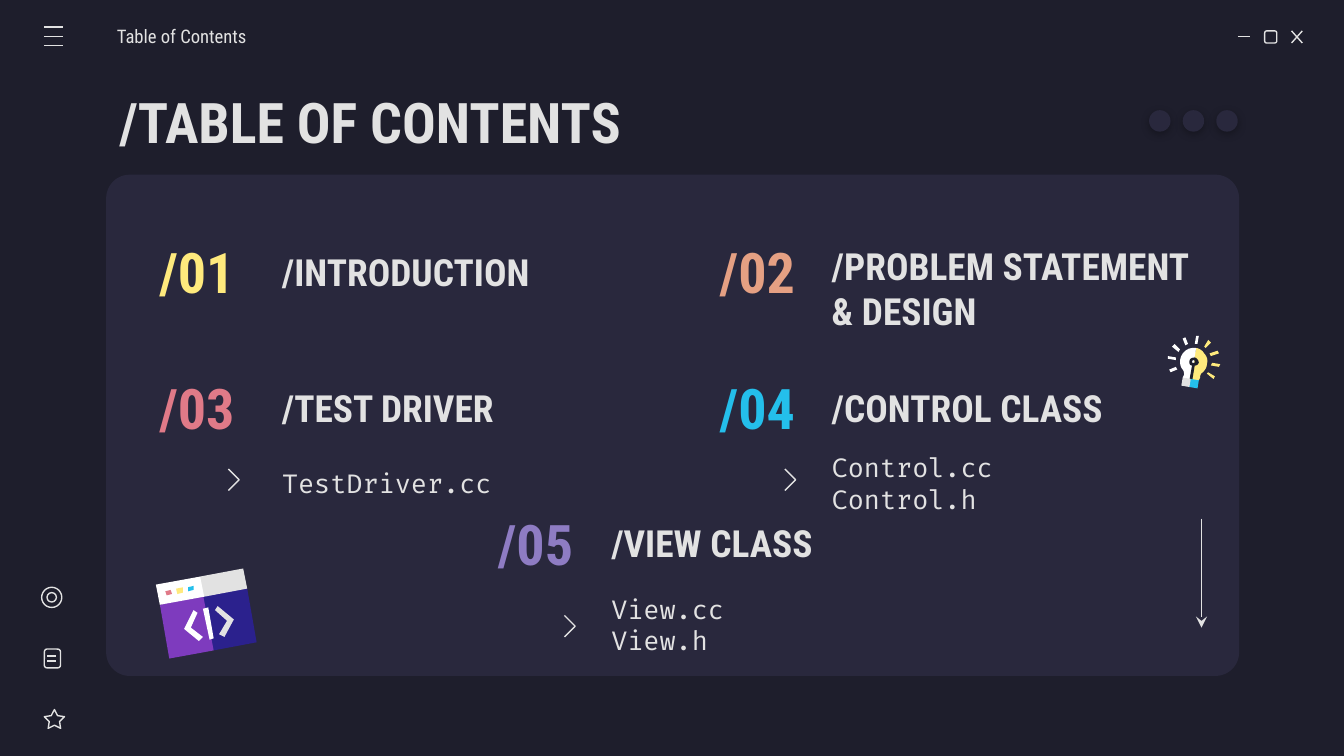
from dataclasses import dataclass
from typing import NamedTuple

from lxml import etree
from pptx import Presentation, util as u
from pptx.dml.color import RGBColor
from pptx.enum import shapes as s, text as t
from pptx.oxml.ns import qn

SCALE = 9144  # EMU in one px: 100 px to the inch
WIDE = 1000


@dataclass(frozen=True)
class Theme:
    back: str = "1E1E2C"
    panel: str = "29283D"
    light: str = "E2E2E2"
    white: str = "FFFFFF"
    yellow: str = "FFEA7D"
    orange: str = "E5A083"
    pink: str = "E07A88"
    blue: str = "24BFEB"
    violet: str = "8E7CC3"
    purple: str = "7E3BBE"
    navy: str = "2B218D"
    sans: str = "Roboto Condensed"
    mono: str = "Fira Code"
    big: int = 30
    mid: int = 20
    code: int = 14
    small: int = 10
    thin: float = 0.75


T = Theme()
KIND = s.MSO_SHAPE


class Box(NamedTuple):
    left: int
    top: int
    wide: int
    tall: int


class Part(NamedTuple):
    num: str
    name: str
    color: str
    num_x: int
    name_x: int
    top: int
    size: tuple = (256, 56)


class Files(NamedTuple):
    text: str
    box: Box
    mark: tuple


class Patch(NamedTuple):
    color: str
    points: tuple
    hole: tuple = ()


def px(n: float) -> int:
    return round(n * SCALE)


def rgb(color: str) -> RGBColor:
    return RGBColor.from_string(color)


def paint(shape, fill: str | None, line: str | None) -> None:
    if fill:
        shape.fill.solid()
        shape.fill.fore_color.rgb = rgb(fill)
    else:
        shape.fill.background()
    if line:
        shape.line.color.rgb = rgb(line)
        shape.line.width = u.Pt(T.thin)
    else:
        shape.line.fill.background()
    shape.shadow.inherit = False


def form(into, kind, box: Box, fill=None, line=None, adj: float | None = None):
    shape = into.add_shape(kind, *map(px, box))
    if adj is not None:
        shape.adjustments[0] = adj
    paint(shape, fill, line)
    return shape


def rule(into, x1: int, y1: int, x2: int, y2: int, head: bool = False) -> None:
    line = into.add_connector(s.MSO_CONNECTOR.STRAIGHT, *map(px, (x1, y1, x2, y2)))
    line.line.color.rgb = rgb(T.light)
    line.line.width = u.Pt(T.thin)
    props = line.element.spPr
    if head:
        etree.SubElement(props.find(qn("a:ln")), qn("a:tailEnd"), type="stealth")
    etree.SubElement(props, qn("a:effectLst"))


def trace(points: tuple, steps: int = 6) -> list:
    """Pairs are corners; six numbers are a Bezier curve from the last point."""
    out = []
    for p in points:
        if len(p) == 2:
            out.append(p)
            continue
        ends = [out[-1], p[:2], p[2:4], p[4:]]
        for i in range(1, steps + 1):
            k = i / steps
            share = ((1 - k) ** 3, 3 * k * (1 - k) ** 2, 3 * k * k * (1 - k), k ** 3)
            out.append(tuple(sum(w * e[a] for w, e in zip(share, ends)) for a in (0, 1)))
    return [(px(x), px(y)) for x, y in out]


def draw(into, points: tuple, fill=None, line=None, hole: tuple = ()) -> None:
    first, *rest = trace(points)
    pen = into.build_freeform(*first)
    pen.add_line_segments(rest, close=bool(fill))
    if hole:
        first, *rest = trace(hole)
        pen.move_to(*first)
        pen.add_line_segments(rest, close=True)
    paint(pen.convert_to_shape(), fill, line)


def write(into, words: str, box: Box, size: int, color: str = T.light, font: str = T.sans,
          bold: bool = False, align=t.PP_ALIGN.LEFT, inset: int = 10) -> None:
    frame = into.add_textbox(*map(px, box)).text_frame
    frame.text = words
    edge = px(10)
    for key, val in dict(word_wrap=True, vertical_anchor=t.MSO_ANCHOR.MIDDLE,
                         margin_left=px(inset), margin_right=edge,
                         margin_top=edge, margin_bottom=edge).items():
        setattr(frame, key, val)
    for para in frame.paragraphs:
        para.alignment = align
        font_of = para.runs[0].font
        for key, val in dict(name=font, size=u.Pt(size), bold=bold).items():
            setattr(font_of, key, val)
        font_of.color.rgb = rgb(color)


def shade(shape) -> None:
    glow = etree.SubElement(shape.element.spPr.find(qn("a:effectLst")), qn("a:outerShdw"),
                            blurRad=str(u.Pt(4.5)), dist=str(u.Pt(1.5)), dir="5400000",
                            algn="bl", rotWithShape="0")
    tint = etree.SubElement(glow, qn("a:srgbClr"), val="000000")
    etree.SubElement(tint, qn("a:alpha"), val="30000")


PARTS = [
    Part("/01", "/INTRODUCTION", T.yellow, 101, 200, 174),
    Part("/02", "/PROBLEM STATEMENT & DESIGN", T.orange, 518, 609, 174, (298, 81)),
    Part("/03", "/TEST DRIVER", T.pink, 101, 200, 275),
    Part("/04", "/CONTROL CLASS", T.blue, 518, 609, 275),
    Part("/05", "/VIEW CLASS", T.violet, 353, 445, 376),
]
FILES = [
    Files("TestDriver.cc", Box(200, 322, 208, 75), (170, 349)),
    Files("Control.cc\nControl.h", Box(609, 322, 256, 75), (584, 349)),
    Files("View.cc\nView.h", Box(445, 427, 256, 75), (420, 458)),
]
CODE = [  # tilted window with a code sign
    Patch(T.navy, ((148, 443), (159, 484), (191, 478), (184, 438))),
    Patch(T.purple, ((151, 442), (119, 450), (126, 490), (159, 484))),
    Patch(T.light, ((149, 429), (147, 437), (152, 444), (184, 438), (181, 423))),
    Patch(T.white, ((116, 435), (119, 450), (152, 444), (149, 429))),
    Patch(T.pink, ((123, 440), (124, 443), (128, 442), (127, 439))),
    Patch(T.yellow, ((131, 438), (132, 442), (136, 441), (136, 437))),
    Patch(T.blue, ((140, 437), (140, 440), (144, 439), (144, 436))),
    Patch(T.white, ((144, 454), (137, 468), (148, 477), (151, 474), (142, 467), (147, 456))),
    Patch(T.light, ((162, 451), (160, 454), (169, 462), (163, 472), (167, 474), (174, 461))),
    Patch(T.white, ((151, 453), (156, 476), (159, 475), (155, 452))),
]
BULB = [  # glass halves, rays, keyhole, base
    Patch(T.yellow, ((890, 259), (885, 283), (892, 283), (893, 281),
                     (893, 280, 893, 278, 895, 277), (897, 275, 898, 273, 898, 271),
                     (899, 268, 898, 265, 896, 263), (895, 261, 892, 259, 890, 259))),
    Patch(T.white, ((890, 259), (884, 258, 879, 262, 878, 268), (878, 270, 878, 273, 880, 275),
                    (881, 276, 881, 278, 881, 279), (880, 281), (886, 283))),
    Patch(T.white, ((890, 250), (889, 256), (891, 256), (892, 250))),
    Patch(T.white, ((882, 251), (880, 252), (882, 257), (884, 256))),
    Patch(T.white, ((874, 256), (872, 258), (877, 262), (878, 260))),
    Patch(T.white, ((869, 265), (869, 267), (875, 268), (875, 266))),
    Patch(T.white, ((875, 273), (870, 275), (871, 277), (876, 275))),
    Patch(T.yellow, ((899, 277), (898, 278), (903, 282), (904, 280))),
    Patch(T.yellow, ((902, 270), (901, 272), (907, 273), (908, 271))),
    Patch(T.yellow, ((906, 261), (900, 263), (901, 265), (907, 263))),
    Patch(T.yellow, ((899, 253), (896, 258), (897, 259), (901, 255))),
    Patch(T.back, ((889, 266), (887, 266, 885, 267, 885, 269), (885, 270, 885, 272, 887, 272),
                   (885, 283), (887, 284), (889, 272), (890, 272, 891, 272, 892, 270),
                   (892, 268, 890, 266, 889, 266)),
          ((888, 268), (889, 268, 889, 269, 889, 269), (889, 270, 889, 270, 888, 270),
           (887, 270, 887, 270, 887, 269), (887, 268, 888, 268, 888, 268))),
    Patch(T.blue, ((886, 282), (884, 285), (885, 288), (891, 289), (892, 283))),
    Patch(T.light, ((880, 281), (879, 287), (885, 288), (886, 282))),
]


def main() -> None:
    deck = Presentation()
    deck.slide_width = px(WIDE)
    deck.slide_height = px(WIDE) * 9 // 16
    slide = deck.slides.add_slide(deck.slide_layouts[6])
    slide.background.fill.solid()
    slide.background.fill.fore_color.rgb = rgb(T.back)
    page = slide.shapes

    # Panel and window buttons
    form(page, KIND.ROUNDED_RECTANGLE, Box(79, 130, 843, 373), T.panel, adj=0.047)
    bar = page.add_group_shape().shapes
    rule(bar, 921, 27, 930, 27)
    form(bar, KIND.ROUNDED_RECTANGLE, Box(941, 23, 9, 9), line=T.light)
    rule(bar, 961, 23, 969, 32)
    rule(bar, 969, 23, 961, 32)

    # Headings
    write(page, "/TABLE OF CONTENTS", Box(79, 59, 843, 63), T.big, bold=True)
    write(page, "Table of Contents", Box(87, 12, 117, 30), T.small, inset=0)

    # Contents
    for part in PARTS:
        write(page, part.name, Box(part.name_x, part.top, *part.size), T.mid, bold=True)
        write(page, part.num, Box(part.num_x, part.top, 91, 56), T.big, part.color,
              bold=True, align=t.PP_ALIGN.CENTER)
    for item in FILES:
        write(page, item.text, item.box, T.code, font=T.mono)
        x, y = item.mark
        draw(page, ((x, y), (x + 8, y + 8), (x, y + 16)), line=T.light)

    # Menu and side icons
    menu = page.add_group_shape().shapes
    for y in (20, 27, 34):
        rule(menu, 33, y, 47, y)
    side = page.add_group_shape().shapes
    form(side, KIND.STAR_5_POINT, Box(33, 528, 15, 14), line=T.light, adj=0.254)
    form(side, KIND.ROUNDED_RECTANGLE, Box(33, 483, 12, 14), line=T.light)
    for y in (488, 492):
        rule(side, 35, y, 42, y)
    for box in (Box(31, 437, 15, 15), Box(35, 441, 7, 7)):
        form(side, KIND.OVAL, box, line=T.light)

    # Scroll arrow and dots
    rule(page, 894, 386, 894, 467, head=True)
    dots = page.add_group_shape().shapes
    for i in range(3):
        shade(form(dots, KIND.OVAL, Box(855 + 25 * i, 82, 16, 16), T.panel))

    # Code window and light bulb
    for icon in (CODE, BULB):
        group = page.add_group_shape().shapes
        for patch in icon:
            draw(group, patch.points, patch.color, hole=patch.hole)

    deck.save("out.pptx")


if __name__ == "__main__":
    main()
